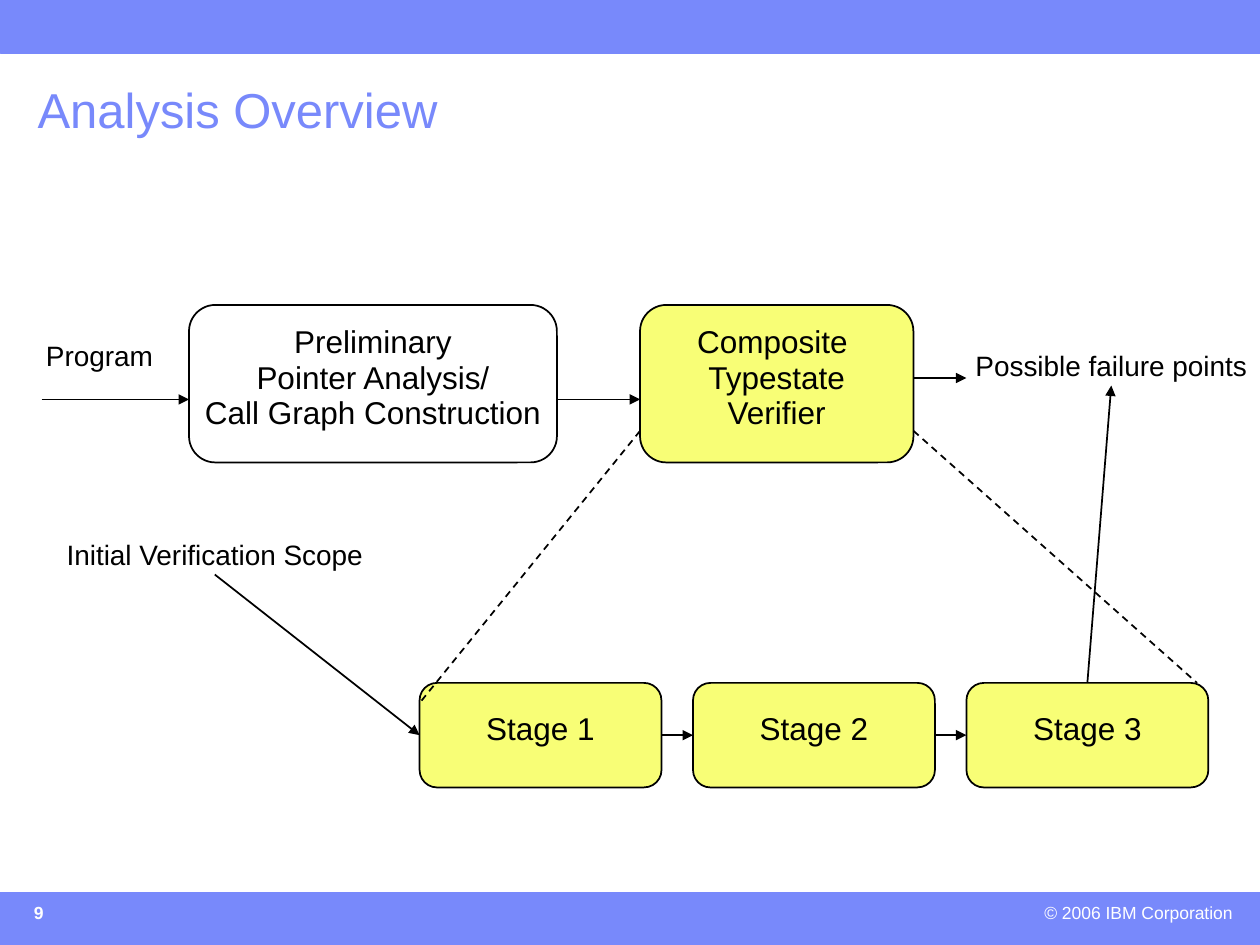
from dataclasses import dataclass
from lxml import etree
from pptx import Presentation
from pptx.dml.color import RGBColor
from pptx.enum.dml import MSO_LINE
from pptx.enum.shapes import MSO_CONNECTOR, MSO_SHAPE
from pptx.enum.text import MSO_ANCHOR, PP_ALIGN
from pptx.oxml.ns import qn
from pptx.util import Inches, Pt

RECT, ROUNDED = MSO_SHAPE.RECTANGLE, MSO_SHAPE.ROUNDED_RECTANGLE
STRAIGHT, DASH = MSO_CONNECTOR.STRAIGHT, MSO_LINE.DASH
LEFT, CENTER, RIGHT = PP_ALIGN.LEFT, PP_ALIGN.CENTER, PP_ALIGN.RIGHT
TOP, MIDDLE, BOTTOM = MSO_ANCHOR.TOP, MSO_ANCHOR.MIDDLE, MSO_ANCHOR.BOTTOM
TOP_SIDE, LEFT_SIDE, BOTTOM_SIDE, RIGHT_SIDE = range(4)


@dataclass(frozen=True)
class Theme:
    font: str = "Arial"
    accent: RGBColor = RGBColor(0x78, 0x89, 0xFB)
    highlight: RGBColor = RGBColor(0xF8, 0xFE, 0x76)
    ink: RGBColor = RGBColor(0, 0, 0)
    paper: RGBColor = RGBColor(255, 255, 255)
    title: int = 28
    step: int = 18
    label: int = 16
    footer: int = 10
    line: float = 1


THEME = Theme()


def inches(box):
    return [Inches(value) for value in box]


def write(shape, lines, size, color, align=LEFT, anchor=TOP, wrap=True,
          spacing=1.0, bold=False):
    frame = shape.text_frame
    frame.word_wrap = wrap
    frame.vertical_anchor = anchor
    font_format = {"name": THEME.font, "size": Pt(size), "bold": bold}
    for index, line in enumerate(lines):
        paragraph = frame.paragraphs[0] if index == 0 else frame.add_paragraph()
        paragraph.alignment = align
        paragraph.line_spacing = spacing
        if index:
            paragraph.space_before = Pt(9.4)
        run = paragraph.add_run()
        run.text = line
        for name, value in font_format.items():
            setattr(run.font, name, value)
        run.font.color.rgb = color


def add_text(slide, box, text, size, color, **options):
    text_box = slide.shapes.add_textbox(*inches(box))
    write(text_box, [text], size, color, **options)
    return text_box


def add_label(slide, box, text):
    return add_text(slide, box, text, THEME.label, THEME.ink,
                    align=CENTER, wrap=False, spacing=0.5)


def add_step(slide, box, lines, fill=None):
    step = slide.shapes.add_shape(ROUNDED, *inches(box))
    step.shadow.inherit = False
    step.adjustments[0] = 0.167
    if fill is None:
        step.fill.background()
    else:
        step.fill.solid()
        step.fill.fore_color.rgb = fill
    step.line.color.rgb = THEME.ink
    step.line.width = Pt(THEME.line)
    write(step, lines, THEME.step, THEME.ink, align=CENTER, anchor=MIDDLE,
          wrap=False, spacing=0.5)
    return step


def add_line(slide, start=(0, 0), end=(0, 0), begin_at=None, end_at=None, dashed=False):
    """Draw an arrow, or a dashed line; begin_at and end_at are (shape, side)."""
    connector = slide.shapes.add_connector(STRAIGHT, *inches((*start, *end)))
    if begin_at:
        connector.begin_connect(*begin_at)
    if end_at:
        connector.end_connect(*end_at)
    connector.line.color.rgb = THEME.ink
    connector.line.width = Pt(THEME.line)
    if dashed:
        connector.line.dash_style = DASH
    else:
        etree.SubElement(connector.line._get_or_add_ln(), qn("a:tailEnd"), type="triangle")
    etree.SubElement(connector._element.spPr, qn("a:effectLst"))


def add_band(slide, box):
    band = slide.shapes.add_shape(RECT, *inches(box))
    band.shadow.inherit = False
    band.fill.solid()
    band.fill.fore_color.rgb = THEME.accent
    band.line.color.rgb = THEME.accent
    band.line.width = Pt(0.25)


def add_page_frame(slide, width, height):
    band_height = 0.42
    footer_top = height - band_height
    add_band(slide, (0, 0, width, band_height))
    add_band(slide, (0, footer_top, width, band_height))
    add_text(slide, (width - 3.74, footer_top + 0.03, 3.62, 0.27),
             "© 2006 IBM Corporation", THEME.footer, THEME.paper, align=RIGHT)
    add_text(slide, (0.17, footer_top + 0.03, 1.1, 0.35), "9",
             THEME.footer, THEME.paper, bold=True)
    add_text(slide, (0.2, 0.6, 9.02, 0.55), "Analysis Overview",
             THEME.title, THEME.accent, anchor=BOTTOM, spacing=0.9)


def add_pipeline(slide, left, top):
    """Upper row: program to failure points. Returns the result label."""
    height = 1.25
    arrow_y = top + 0.75
    preliminary_left, verifier_left = left + 1.25, left + 4.83
    preliminary_right, verifier_right = preliminary_left + 2.92, verifier_left + 2.17

    add_label(slide, (left, top + 0.33, 1.08, 0.23), "Program")
    add_step(slide, (preliminary_left, top, 2.92, height),
             ["Preliminary", "Pointer Analysis/", "Call Graph Construction"])
    add_step(slide, (verifier_left, top, 2.17, height),
             ["Composite ", "Typestate", "Verifier"], THEME.highlight)
    failures = add_label(slide, (left + 7.39, top + 0.41, 2.36, 0.23),
                         "Possible failure points")

    add_line(slide, (left + 0.08, arrow_y), (preliminary_left, arrow_y))
    add_line(slide, (preliminary_right, arrow_y), (verifier_left, arrow_y))
    add_line(slide, (verifier_right, top + 0.58), (verifier_right + 0.42, top + 0.58))
    return failures


def add_stages(slide, left, top, failures):
    """Lower row: the verifier's stages, from the scope to the failure points."""
    width, height, pitch = 1.92, 0.83, 2.17
    stages = [add_step(slide, (left + index * pitch, top, width, height),
                       [f"Stage {index + 1}"], THEME.highlight) for index in range(3)]
    for stage, following in zip(stages, stages[1:]):
        add_line(slide, begin_at=(stage, RIGHT_SIDE), end_at=(following, LEFT_SIDE))

    scope = add_label(slide, (left - 3, top - 1.09, 2.75, 0.23),
                      "Initial Verification Scope")
    add_line(slide, begin_at=(scope, BOTTOM_SIDE), end_at=(stages[0], LEFT_SIDE))
    add_line(slide, begin_at=(stages[-1], TOP_SIDE), end_at=(failures, BOTTOM_SIDE))


def add_zoom_lines(slide):
    add_line(slide, (7.25, 3.42), (9.5, 5.42), dashed=True)
    add_line(slide, (5.08, 3.42), (3.33, 5.58), dashed=True)


def main():
    width, height = 10, 7.5
    presentation = Presentation()
    presentation.slide_width, presentation.slide_height = inches((width, height))
    slide = presentation.slides.add_slide(presentation.slide_layouts[6])

    add_page_frame(slide, width, height)
    failures = add_pipeline(slide, 0.25, 2.42)
    add_stages(slide, 3.33, 5.42, failures)
    add_zoom_lines(slide)
    presentation.save("out.pptx")


if __name__ == "__main__":
    main()
